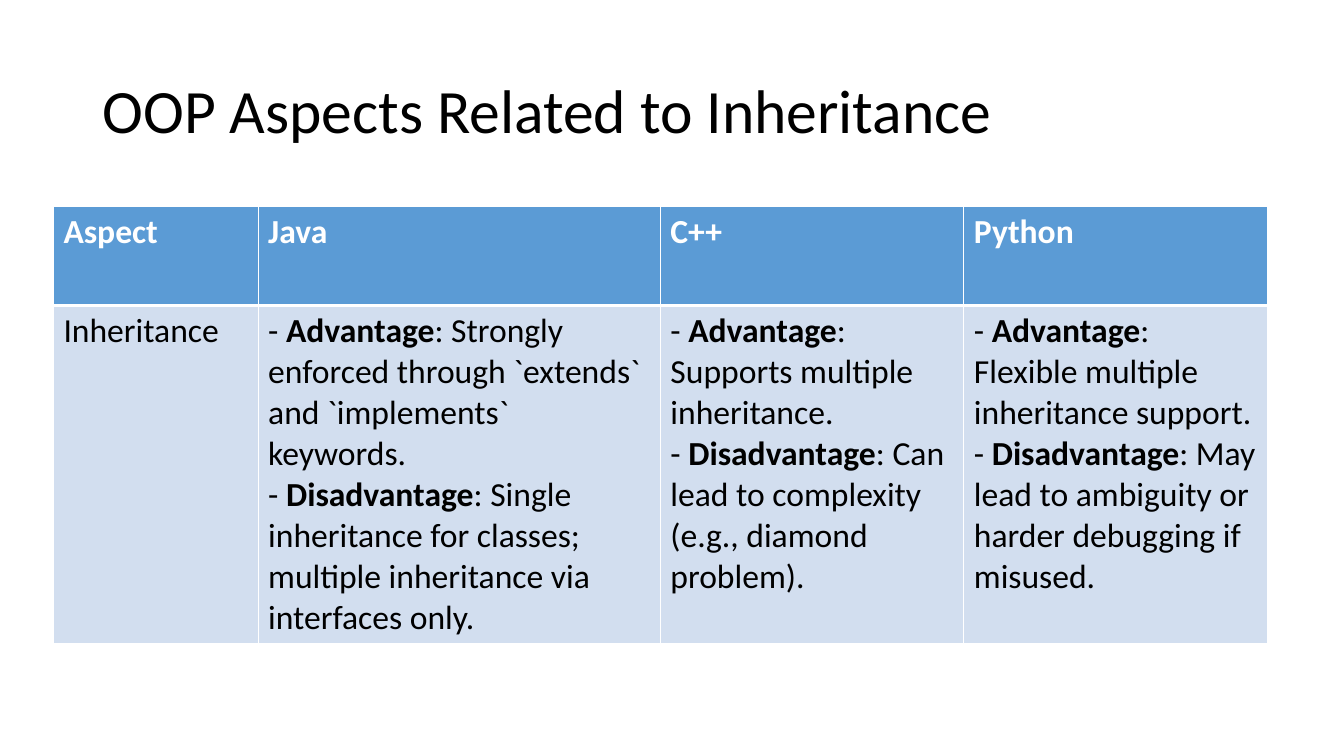
from lxml.etree import SubElement
from pptx import Presentation
from pptx.dml.color import RGBColor
from pptx.enum.text import MSO_ANCHOR
from pptx.oxml.ns import qn
from pptx.util import Inches, Pt

WHITE = RGBColor(0xFF, 0xFF, 0xFF)
BLACK = RGBColor(0x00, 0x00, 0x00)
HEADER_BLUE = RGBColor(0x5B, 0x9B, 0xD5)
BODY_BLUE = RGBColor(0xD2, 0xDE, 0xEF)

FONT = "Calibri"
SLIDE_WIDTH, SLIDE_HEIGHT = Inches(13.33), Inches(7.5)
COLUMN_WIDTHS = [2.03, 3.99, 3.01, 3.01]
ROW_HEIGHTS = [0.98, 3.35]
THIN, THICK = 1, 3

# Language: (advantage, disadvantage)
LANGUAGES = {
    "Java": (
        "Strongly enforced through `extends` and `implements` keywords.",
        "Single inheritance for classes; multiple inheritance via interfaces only.",
    ),
    "C++": (
        "Supports multiple inheritance.",
        "Can lead to complexity (e.g., diamond problem).",
    ),
    "Python": (
        "Flexible multiple inheritance support.",
        "May lead to ambiguity or harder debugging if misused.",
    ),
}


def write_text(frame, paragraphs, size=24, color=BLACK, bold=False, spacing=None):
    """Fill a text frame; each paragraph is a list of runs, every second one bold."""
    for index, pieces in enumerate(paragraphs):
        paragraph = frame.paragraphs[0] if index == 0 else frame.add_paragraph()
        if spacing:
            paragraph.line_spacing = spacing
        for position, piece in enumerate(pieces):
            run = paragraph.add_run()
            run.text = piece
            run.font.name = FONT
            run.font.size = Pt(size)
            run.font.bold = bold or position % 2 == 1
            run.font.color.rgb = color


def add_title(slide, title):
    box = slide.shapes.add_textbox(
        Inches(0.92), Inches(0.4), Inches(11.5), Inches(1.45)
    )
    box.text_frame.word_wrap = True
    box.text_frame.vertical_anchor = MSO_ANCHOR.MIDDLE
    write_text(box.text_frame, [[title]], size=44, spacing=0.9)


def set_borders(cell, **widths):
    """Draw white borders; widths in points by side, in the order L, R, T, B."""
    properties = cell._tc.get_or_add_tcPr()
    for side, width in widths.items():
        line = SubElement(properties, qn(f"a:ln{side}"), w=str(Pt(width)))
        fill = SubElement(line, qn("a:solidFill"))
        SubElement(fill, qn("a:srgbClr"), val=str(WHITE))


def fill_cell(cell, paragraphs, is_header):
    set_borders(
        cell,
        L=THIN,
        R=THIN,
        T=THIN if is_header else THICK,
        B=THICK if is_header else THIN,
    )
    cell.fill.solid()
    cell.fill.fore_color.rgb = HEADER_BLUE if is_header else BODY_BLUE
    color = WHITE if is_header else BLACK
    write_text(cell.text_frame, paragraphs, color=color, bold=is_header)


def add_comparison(slide, rows):
    table = slide.shapes.add_table(
        len(ROW_HEIGHTS), len(COLUMN_WIDTHS), Inches(0.53), Inches(2.05),
        Inches(sum(COLUMN_WIDTHS)), Inches(sum(ROW_HEIGHTS)),
    ).table
    for column, width in zip(table.columns, COLUMN_WIDTHS):
        column.width = Inches(width)
    for row, height, contents in zip(table.rows, ROW_HEIGHTS, rows):
        row.height = Inches(height)
        for cell, paragraphs in zip(row.cells, contents):
            fill_cell(cell, paragraphs, is_header=contents is rows[0])


def main():
    presentation = Presentation()
    presentation.slide_width = SLIDE_WIDTH
    presentation.slide_height = SLIDE_HEIGHT
    slide = presentation.slides.add_slide(presentation.slide_layouts[6])

    header = [[[name]] for name in ["Aspect", *LANGUAGES]]
    inheritance = [[["Inheritance"]]] + [
        [
            ["- ", "Advantage", f": {advantage}"],
            ["- ", "Disadvantage", f": {disadvantage}"],
        ]
        for advantage, disadvantage in LANGUAGES.values()
    ]
    add_title(slide, "OOP Aspects Related to Inheritance")
    add_comparison(slide, [header, inheritance])
    presentation.save("out.pptx")


if __name__ == "__main__":
    main()
